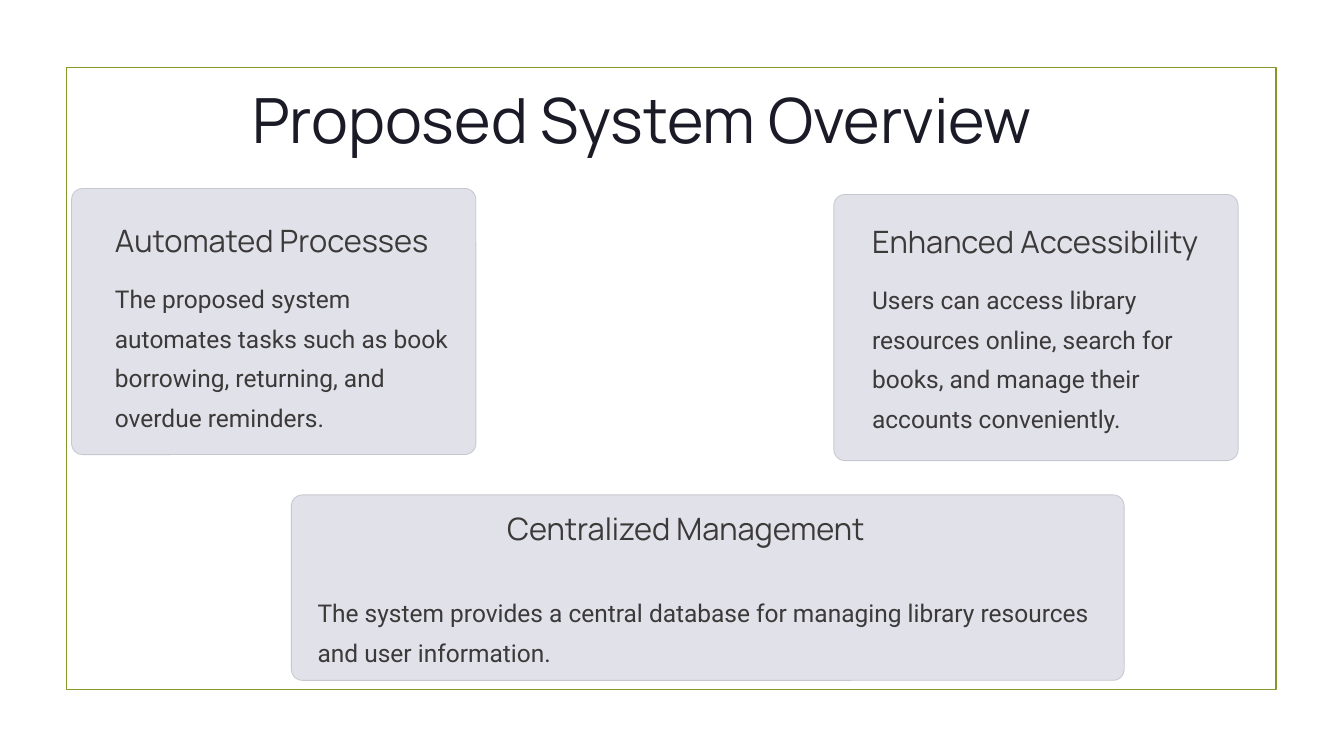
from pptx import Presentation
from pptx.dml.color import RGBColor
from pptx.enum.shapes import MSO_SHAPE
from pptx.enum.text import MSO_ANCHOR, MSO_AUTO_SIZE, PP_ALIGN
from pptx.util import Inches, Pt

CARDS = [
    ((0.71, 1.87, 4.01, 2.64), (1.14, 2.18, 3.15), (1.14, 2.71, 3.5, 1.59),
     "Automated Processes",
     "The proposed system automates tasks such as book borrowing, returning, and overdue reminders."),
    ((8.27, 1.93, 4.01, 2.64), (8.65, 2.19, 3.28), (8.65, 2.72, 3.5, 1.59),
     "Enhanced Accessibility",
     "Users can access library resources online, search for books, and manage their accounts conveniently."),
    ((2.89, 4.91, 8.26, 1.84), (5.03, 5.04, 3.62), (3.15, 5.83, 7.75, 0.79),
     "Centralized Management",
     "The system provides a central database for managing library resources and user information."),
]


def rgb(value):
    return RGBColor.from_string(value)


class Deck:
    heading_font = "Manrope"
    body_font = "Roboto"
    title_color = "1B1B27"
    text_color = "3C3939"
    card_fill = "E1E1EA"
    card_line = "C7C7D0"
    frame_line = "83992A"
    corner = 0.11
    heading_height = 0.39

    def __init__(self, slide):
        self.s = slide

    def shape(self, kind, box, line, width, fill=None):
        sp = self.s.shapes.add_shape(kind, *map(Inches, box))
        sp.shadow.inherit = False
        if fill:
            sp.fill.solid()
            sp.fill.fore_color.rgb = rgb(fill)
        else:
            sp.fill.background()
        sp.line.color.rgb = rgb(line)
        sp.line.width = Pt(width)
        return sp

    def set_text(self, sp, text, font, size, color, spacing, wrap=False):
        tf = sp.text_frame
        frame_format = dict(
            margin_left=0, margin_top=0, margin_right=0, margin_bottom=0,
            auto_size=MSO_AUTO_SIZE.NONE, word_wrap=wrap,
            vertical_anchor=MSO_ANCHOR.TOP)
        for name, value in frame_format.items():
            setattr(tf, name, value)
        p = tf.paragraphs[0]
        p.alignment = PP_ALIGN.LEFT
        p.line_spacing = Pt(spacing)
        r = p.add_run()
        r.text = text
        for name, value in dict(name=font, size=Pt(size)).items():
            setattr(r.font, name, value)
        r.font.color.rgb = rgb(color)

    def frame(self, box):
        self.shape(MSO_SHAPE.RECTANGLE, box, self.frame_line, 1.25)

    def title(self, box, text):
        sp = self.s.shapes.title
        for name, value in zip(("left", "top", "width", "height"), box):
            setattr(sp, name, Inches(value))
        self.set_text(sp, text, self.heading_font, 44.5, self.title_color, 55.5)

    def text(self, box, text, font, size, spacing, wrap):
        sp = self.s.shapes.add_textbox(*map(Inches, box))
        self.set_text(sp, text, font, size, self.text_color, spacing, wrap)

    def card(self, box, heading_box, body_box, heading, body):
        sp = self.shape(MSO_SHAPE.ROUNDED_RECTANGLE, box, self.card_line, 0.6, self.card_fill)
        sp.adjustments[0] = self.corner / box[3]
        self.text((*heading_box, self.heading_height), heading,
                  self.heading_font, 22, 27.5, False)
        self.text(body_box, body, self.body_font, 17.5, 28.5, True)


def main():
    prs = Presentation()
    prs.slide_width = Inches(13.33)
    prs.slide_height = Inches(7.5)
    deck = Deck(prs.slides.add_slide(prs.slide_layouts[5]))
    deck.frame((0.66, 0.67, 12, 6.17))
    deck.title((2.5, 0.78, 7.9, 0.78), "Proposed System Overview")
    for card in CARDS:
        deck.card(*card)
    prs.save("out.pptx")


if __name__ == "__main__":
    main()
